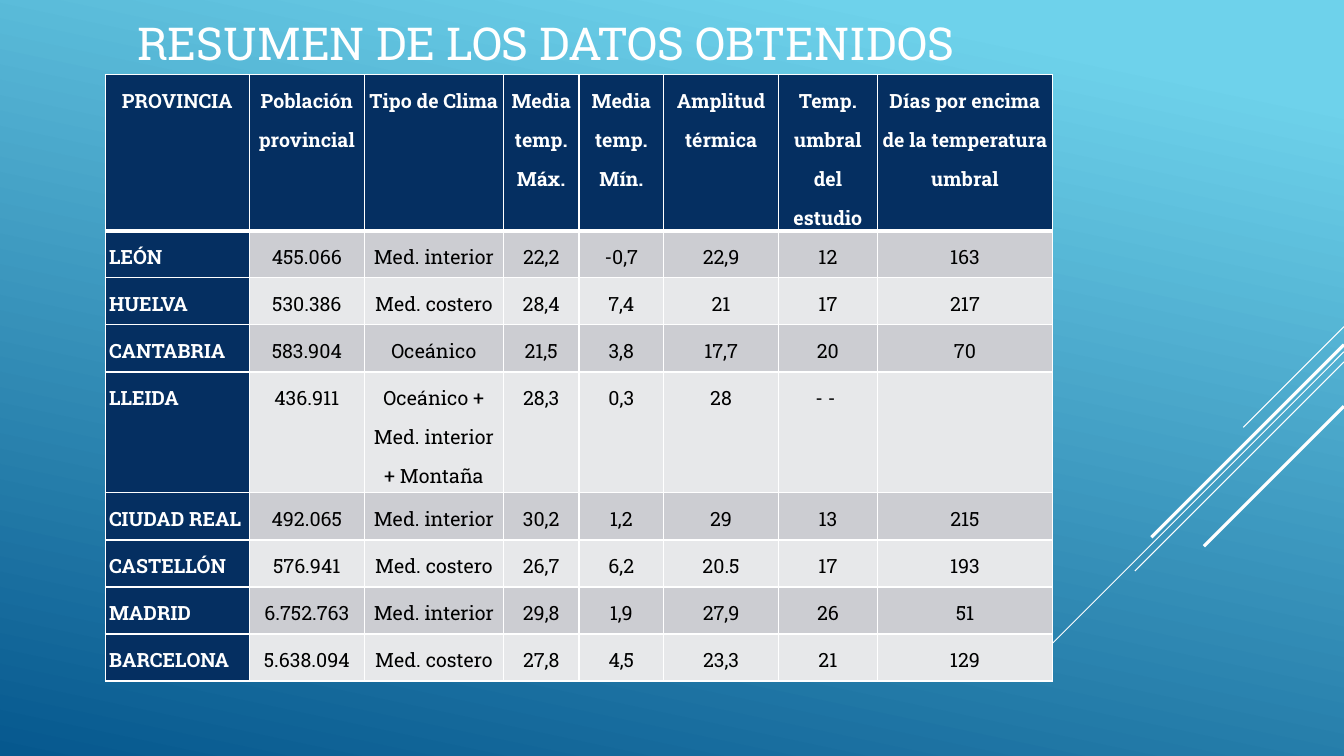
import pptx
import pptx.dml.color
import pptx.enum.shapes
import pptx.enum.text
import pptx.oxml
import pptx.oxml.ns
import pptx.util
from pptx.util import Pt

RGBColor = pptx.dml.color.RGBColor
WHITE = RGBColor(0xFF, 0xFF, 0xFF)
BLACK = RGBColor(0x00, 0x00, 0x00)
NAVY = RGBColor(0x05, 0x2F, 0x61)
GREY = RGBColor(0xCC, 0xCD, 0xD2)
PALE_GREY = RGBColor(0xE7, 0xE8, 0xEA)
SKY = RGBColor(0x6E, 0xD2, 0xEB)
DEEP_BLUE = RGBColor(0x06, 0x58, 0x8E)

FONT = "Roboto Slab"
SLIDE_WIDTH, SLIDE_HEIGHT = 960, 540

# Top of each diagonal at the right edge, its horizontal run, its line width
DIAGONALS = [
    (233.28, 72, 0.75),
    (251.28, 234.72, 0.75),
    (258.48, 149.4, 0.75),
    (246.24, 137.52, 2.25),
    (290.16, 100.08, 2.25),
]

COLUMN_WIDTHS = [102.96, 82.08, 99.36, 54, 60.48, 82.08, 70.56, 125.28]
HEADER_HEIGHT, ROW_HEIGHT, TALL_ROW_HEIGHT = 69.12, 33.6, 86.4
TALL_ROW = 4

ROWS = [
    ["PROVINCIA", "Población provincial", "Tipo de Clima", "Media temp. Máx.",
     "Media temp. Mín.", "Amplitud térmica", "Temp. umbral del estudio",
     "Días por encima de la temperatura umbral"],
    ["LEÓN", "455.066", "Med. interior", "22,2", "-0,7", "22,9", "12", "163"],
    ["HUELVA", "530.386", "Med. costero", "28,4", "7,4", "21", "17", "217"],
    ["CANTABRIA", "583.904", "Oceánico", "21,5", "3,8", "17,7", "20", "70"],
    ["LLEIDA", "436.911", "Oceánico + Med. interior + Montaña", "28,3", "0,3", "28", "- - ", ""],
    ["CIUDAD REAL", "492.065", "Med. interior", "30,2", "1,2", "29", "13", "215"],
    ["CASTELLÓN", "576.941", "Med. costero", "26,7", "6,2", "20.5", "17", "193"],
    ["MADRID", "6.752.763", "Med. interior", "29,8", "1,9", "27,9", "26", "51"],
    ["BARCELONA", "5.638.094", "Med. costero", "27,8", "4,5", "23,3", "21", "129"],
]


def set_background(slide):
    fill = slide.background.fill
    fill.gradient()
    fill.gradient_angle = 258
    for stop, color, position in zip(fill.gradient_stops, (SKY, DEEP_BLUE), (0.1, 1)):
        stop.color.rgb = color
        stop.position = position


def add_run(paragraph, text, size, color, bold=False):
    run = paragraph.add_run()
    run.text = text
    run.font.name = FONT
    run.font.size = Pt(size)
    run.font.color.rgb = color
    run.font.bold = bold


def add_diagonal(slide, top, length, width):
    """Draw a 45-degree line from the right edge down to the left."""
    line = slide.shapes.add_connector(
        pptx.enum.shapes.MSO_CONNECTOR.STRAIGHT,
        Pt(SLIDE_WIDTH), Pt(top), Pt(SLIDE_WIDTH - length), Pt(top + length))
    line.line.color.rgb = WHITE
    line.line.width = Pt(width)
    properties = line._element.spPr
    properties.append(properties.makeelement(pptx.oxml.ns.qn("a:effectLst"), {}))


def format_title(slide, text):
    title = slide.shapes.title
    title.left, title.top = Pt(90.72), Pt(3.6)
    title.width, title.height = Pt(695.52), Pt(49.68)
    frame = title.text_frame
    frame.word_wrap = True
    frame.auto_size = pptx.enum.text.MSO_AUTO_SIZE.NONE
    frame.vertical_anchor = pptx.enum.text.MSO_ANCHOR.BOTTOM
    paragraph = frame.paragraphs[0]
    paragraph.alignment = pptx.enum.text.PP_ALIGN.LEFT
    add_run(paragraph, text, 32.4, WHITE)


def set_borders(cell, bottom_width):
    properties = cell._tc.get_or_add_tcPr()
    for side, width in (("L", 1), ("R", 1), ("T", 1), ("B", bottom_width)):
        properties.append(pptx.oxml.parse_xml(
            f'<a:ln{side} {pptx.oxml.ns.nsdecls("a")} w="{Pt(width)}">'
            f'<a:solidFill><a:srgbClr val="{WHITE}"/></a:solidFill></a:ln{side}>'))


def fill_cell(cell, text, row, column):
    is_heading = row == 0 or column == 0
    set_borders(cell, 3 if row == 0 else 1)
    cell.fill.solid()
    cell.fill.fore_color.rgb = NAVY if is_heading else (GREY if row % 2 else PALE_GREY)
    cell.margin_left = cell.margin_right = Pt(2.7)
    cell.margin_top = cell.margin_bottom = 0
    if not text:
        return
    paragraph = cell.text_frame.paragraphs[0]
    alignment = pptx.enum.text.PP_ALIGN
    paragraph.alignment = alignment.LEFT if row and column == 0 else alignment.CENTER
    paragraph.line_spacing = 1.5
    paragraph.space_after = Pt(8)
    add_run(paragraph, text, 14, WHITE if is_heading else BLACK, is_heading)


def add_climate_table(slide):
    heights = [HEADER_HEIGHT] + [ROW_HEIGHT] * (len(ROWS) - 1)
    heights[TALL_ROW] = TALL_ROW_HEIGHT
    table = slide.shapes.add_table(
        len(ROWS), len(COLUMN_WIDTHS), Pt(75.2), Pt(53.28),
        Pt(sum(COLUMN_WIDTHS)), Pt(sum(heights))).table
    table.first_col = True
    for column, width in zip(table.columns, COLUMN_WIDTHS):
        column.width = Pt(width)
    for row, height in zip(table.rows, heights):
        row.height = Pt(height)
    for row, texts in enumerate(ROWS):
        for column, text in enumerate(texts):
            fill_cell(table.cell(row, column), text, row, column)


def main():
    presentation = pptx.Presentation()
    presentation.slide_width = Pt(SLIDE_WIDTH)
    presentation.slide_height = Pt(SLIDE_HEIGHT)
    slide = presentation.slides.add_slide(presentation.slide_layouts.get_by_name("Title Only"))
    set_background(slide)
    for top, length, width in DIAGONALS:
        add_diagonal(slide, top, length, width)
    format_title(slide, "RESUMEN DE LOS DATOS OBTENIDOS")
    add_climate_table(slide)
    presentation.save("out.pptx")


if __name__ == "__main__":
    main()
